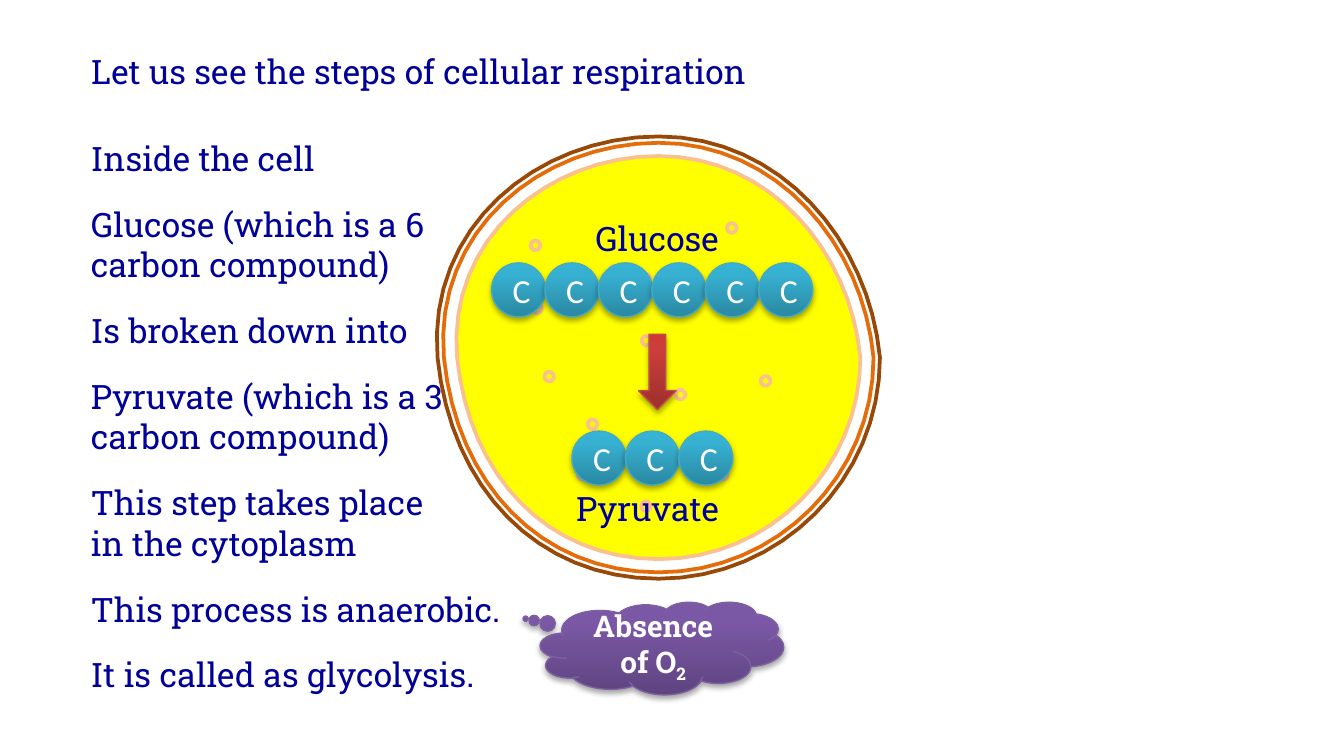
from copy import deepcopy

from pptx import Presentation
from pptx.dml.color import RGBColor
from pptx.enum.shapes import MSO_SHAPE as Preset
from pptx.enum.text import MSO_ANCHOR as Anchor, MSO_AUTO_SIZE as AutoSize, PP_ALIGN as Align
from pptx.oxml import parse_xml
from pptx.oxml.ns import nsdecls, qn
from pptx.util import Cm, Pt

COLORS = {
    "ink": "000099", "white": "FFFFFF", "cytoplasm": "FFFF00",
    "peach": "FAC090", "orange": "E46C0A", "brown": "984807",
}
GLOSS = {
    "carbon": (("2A88A2", "37B1D2", "34B4D6"), "46AAC5"),
    "arrow": (("9C2F2D", "CB3E3A", "CE3B37"), "BF4C48"),
    "cloud": (("5F4480", "7B58A6", "7C57A8"), "7D60A0"),
}
HEADING = "Let us see the steps of cellular respiration"
STEPS = [
    ("Inside the cell", 1, 5.92),
    ("Glucose (which is a 6 carbon compound)", 2, 7.19),
    ("Is broken down into", 1, 7.19),
    ("Pyruvate (which is a 3 carbon compound)", 2, 7.19),
    ("This step takes place in the cytoplasm", 2, 7.19),
    ("This process is anaerobic.", 1, 9.09),
    ("It is called as glycolysis.", 1, 8.05),
]
MOLECULES = [
    ("Glucose", 10.77, 3.99, 6, 9.29, 4.97),
    ("Pyruvate", 10.59, 9.09, 3, 10.81, 8.15),
]
CONDITION = [("Absence of O", None), ("2", "-25000")]
MEMBRANES = [(3.81, "cytoplasm", "peach"), (4.06, None, "orange"), (4.18, None, "brown")]
CELL_CENTER = (12.45, 6.76)
CELL_START = (-1, 0)
CELL_CURVES = [
    ((-1.05, -0.59), (-0.55, -1), (0, -1)),
    ((0.55, -1), (0.95, -0.53), (1, 0)),
    ((1, 0.55), (0.55, 1), (0, 1)),
    ((-0.55, 1), (-0.94, 0.59), (-1, 0)),
]
GRANULES = [
    (12.86, 7.46), (11.2, 8.02), (10.38, 7.12), (12.2, 5.27), (14.47, 7.2),
    (13.66, 8.98), (12.21, 9.57), (11.01, 8.98), (12.22, 6.44), (13.68, 5.75),
    (10.12, 4.64), (10.15, 5.83), (11.61, 5.12), (14.63, 5.77), (13.83, 4.31),
]
MARGIN, LINE_HEIGHT, EXTRA_LINE, STEP_GAP = 1.47, 1.03, 0.77, 0.21
GRANULE_SIZE, CARBON_SIZE, CARBON_PITCH = 0.18, 1.02, 1.01
CURVE_SAMPLES = 16


def rgb(code):
    return RGBColor.from_string(code)


def write(holder, text, font="Roboto Slab", size=18, color="ink", bold=False,
          align=Align.LEFT, anchor=Anchor.TOP, autosize=AutoSize.SHAPE_TO_FIT_TEXT):
    frame = holder.text_frame
    frame.word_wrap = True
    frame.auto_size = autosize
    frame.vertical_anchor = anchor
    paragraph = frame.paragraphs[0]
    paragraph.alignment = align
    for words, baseline in [(text, None)] if isinstance(text, str) else text:
        run = paragraph.add_run()
        run.text = words
        run.font.name, run.font.size, run.font.bold = font, Pt(size), bold
        run.font.color.rgb = rgb(COLORS[color])
        if baseline:
            run.font._element.set("baseline", baseline)


def label(slide, text, left, top, width, lines=1, **style):
    height = LINE_HEIGHT + (lines - 1) * EXTRA_LINE
    write(slide.shapes.add_textbox(Cm(left), Cm(top), Cm(width), Cm(height)), text, **style)
    return height


def outline(shape, fill, line):
    shape.shadow.inherit = False
    if fill:
        shape.fill.solid()
        shape.fill.fore_color.rgb = rgb(COLORS[fill])
    else:
        shape.fill.background()
    shape.line.color.rgb = rgb(COLORS[line])
    shape.line.width = Pt(2)


def glossy(slide, preset, look, left, top, width, height):
    shape = slide.shapes.add_shape(preset, Cm(left), Cm(top), Cm(width), Cm(height))
    shades, edge = GLOSS[look]
    shape.fill.gradient()
    shape.fill.gradient_angle = 90
    properties = shape._element.spPr
    stops = properties.find(qn("a:gradFill")).find(qn("a:gsLst"))
    stops.append(deepcopy(stops[-1]))
    for stop, shade, position in zip(shape.fill.gradient_stops, shades, (0, 0.8, 1)):
        stop.color.rgb = rgb(shade)
        stop.position = position
    shape.line.color.rgb = rgb(edge)
    shape.line.width = Pt(0.75)
    properties.append(parse_xml(
        f'<a:effectLst {nsdecls("a")}><a:outerShdw blurRad="{Pt(3.1)}" dist="{Pt(1.8)}" '
        'dir="5400000" rotWithShape="0"><a:srgbClr val="000000"><a:alpha val="35000"/>'
        '</a:srgbClr></a:outerShdw></a:effectLst>'))
    return shape


def cell_contour():
    start = CELL_START
    for first, second, end in CELL_CURVES:
        for sample in range(1, CURVE_SAMPLES + 1):
            t = sample / CURVE_SAMPLES
            weights = ((1 - t) ** 3, 3 * t * (1 - t) ** 2, 3 * t * t * (1 - t), t ** 3)
            yield tuple(sum(w * point[axis] for w, point in zip(weights, (start, first, second, end)))
                        for axis in (0, 1))
        start = end


def draw_cell(slide):
    for radius, fill, line in MEMBRANES:
        points = [tuple(Cm(center + radius * offset) for center, offset in zip(CELL_CENTER, point))
                  for point in [CELL_START, *cell_contour()]]
        builder = slide.shapes.build_freeform(*points[0])
        builder.add_line_segments(points[1:], close=True)
        outline(builder.convert_to_shape(), fill, line)
    for x, y in GRANULES:
        granule = slide.shapes.add_shape(
            Preset.OVAL, Cm(x - GRANULE_SIZE / 2), Cm(y - GRANULE_SIZE / 2),
            Cm(GRANULE_SIZE), Cm(GRANULE_SIZE))
        outline(granule, "cytoplasm", "peach")


def main():
    deck = Presentation()
    deck.slide_width, deck.slide_height = Cm(25.4), Cm(14.29)
    slide = deck.slides.add_slide(deck.slide_layouts[5])
    title = slide.shapes.title
    title.left, title.top, title.width, title.height = Cm(MARGIN), Cm(0.84), Cm(21.16), Cm(LINE_HEIGHT)
    write(title, HEADING)

    draw_cell(slide)
    on_shape = dict(color="white", align=Align.CENTER, anchor=Anchor.MIDDLE, autosize=AutoSize.NONE)
    for name, name_left, name_top, carbons, left, top in MOLECULES:
        for index in range(carbons):
            carbon = glossy(slide, Preset.OVAL, "carbon", left + index * CARBON_PITCH, top,
                            CARBON_SIZE, CARBON_SIZE)
            write(carbon, "C", font="Calibri", **on_shape)
        label(slide, name, name_left, name_top, 3.3, align=Align.CENTER)

    arrow = glossy(slide, Preset.DOWN_ARROW, "arrow", 12.07, 6.32, 0.71, 1.42)
    arrow.adjustments[0] = 0.44

    top = 2.49
    for step, lines, width in STEPS:
        top += label(slide, step, MARGIN, top, width, lines) + STEP_GAP

    cloud = glossy(slide, Preset.CLOUD_CALLOUT, "cloud", 10.21, 11.38, 4.6, 1.75)
    cloud.adjustments[0], cloud.adjustments[1] = -0.56, -0.32
    write(cloud, CONDITION, size=16, bold=True, **on_shape)
    deck.save("out.pptx")


if __name__ == "__main__":
    main()
